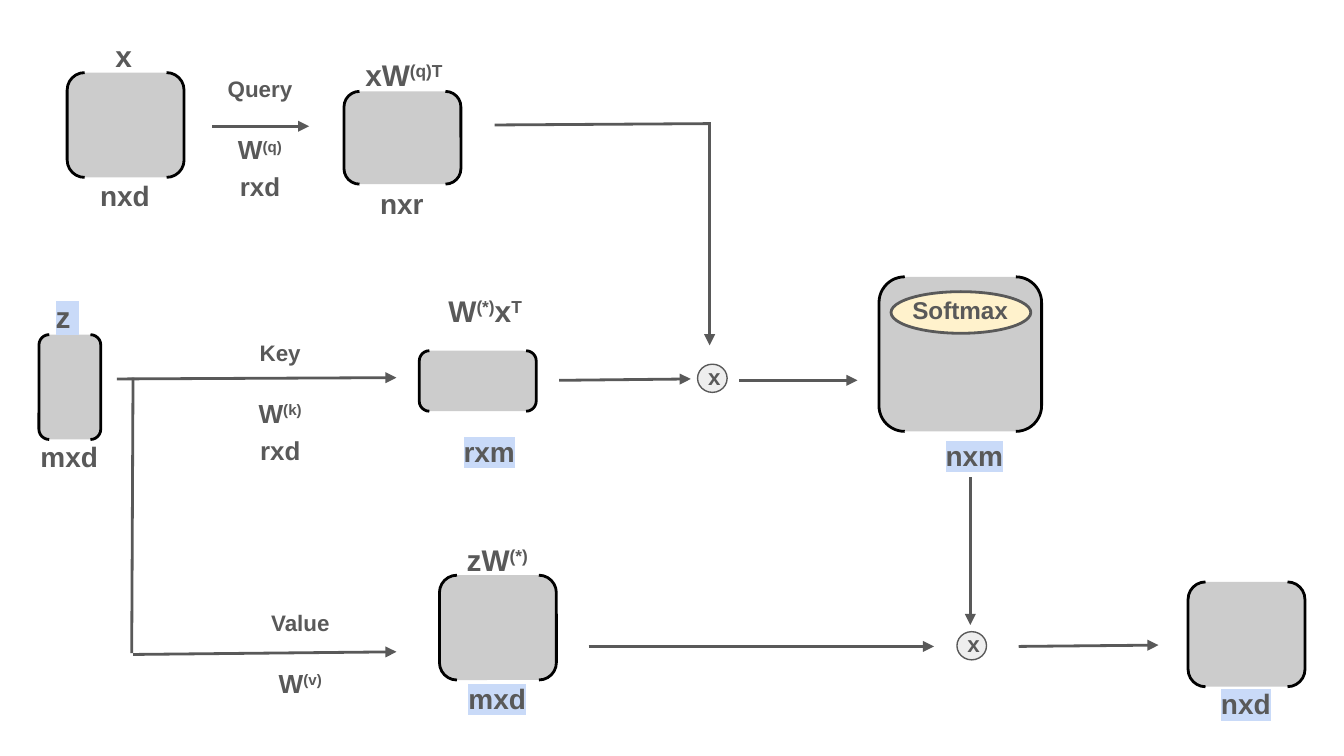
from lxml import etree
from pptx import Presentation
from pptx.dml.color import RGBColor
from pptx.enum.shapes import MSO_CONNECTOR, MSO_SHAPE
from pptx.enum.text import PP_ALIGN
from pptx.oxml.ns import qn
from pptx.util import Inches, Pt

STRAIGHT = MSO_CONNECTOR.STRAIGHT
BRACKETS, OVAL = MSO_SHAPE.DOUBLE_BRACKET, MSO_SHAPE.OVAL
CENTER, LEFT = PP_ALIGN.CENTER, PP_ALIGN.LEFT

WIDTH = 10
HEIGHT = WIDTH * 9 / 16
COLUMNS = 100
CELL = WIDTH / COLUMNS
INK, GREY, BLACK, MARK = "595959", "CCCCCC", "000000", "C9DAF8"
SIDE, TALL = 8.7, 7.8

MATRICES = [
    (5, 5.4, SIDE, TALL),
    (25.6, 6.8, SIDE, 6.9),
    (2.9, 24.9, 4.6, TALL),
    (31.2, 26.1, SIDE, 4.5),
    (32.7, 42.8, SIDE, TALL),
    (88.4, 43.3, SIDE, TALL),
    (65.4, 20.6, 12.1, 11.5),
]
NAMES = [
    ("x", 6.4, 1.8, 5.6, None),
    ("z ", 2.2, 21.2, 5.6, MARK),
    ("xW^(q)T", 25.5, 3.2, 9.1, None),
    ("W^(*)^x^T", 30.8, 20.8, 10.6, None),
    ("zW^(*)", 32.1, 39.3, 9.8, None),
]
SIZES = [
    ("nxd", 3.1, 12.3, 12.4, None),
    ("nxr", 23.7, 12.9, 12.4, None),
    ("mxd", 1.9, 31.7, 6.5, None),
    ("rxm", 30.2, 31.3, 12.4, MARK),
    ("nxm", 66.3, 31.6, 12.4, MARK),
    ("mxd", 30.8, 49.7, 12.4, MARK),
    ("nxd", 86.5, 50.1, 12.4, MARK),
]
WEIGHTS = [
    (["Query", "W^(q)", "^rxd"], 15, 4.6, 8.7),
    (["Key", "W^(k)", "^rxd"], 17.6, 24.2, 6.5),
    (["Value", "W^(v)"], 18, 44.3, 8.7),
]
LINES = [
    (9.9, 28.1, 9.8, 48.6),
    (36.8, 9.3, 52.9, 9.2),
]
ARROWS = [
    (15.8, 9.4, 23, 9.4),
    (8.7, 28.2, 29.5, 28.1),
    (9.9, 48.7, 29.5, 48.5),
    (41.6, 28.3, 51.4, 28.2),
    (52.8, 9.1, 52.8, 25.7),
    (55, 28.3, 63.8, 28.3),
    (43.8, 48.1, 69.5, 48.1),
    (72.2, 35.5, 72.2, 46.5),
    (75.8, 48.1, 86.2, 48),
]
PRODUCTS = [(51.9, 27.1), (71.2, 47)]


def cells(*counts):
    """Turn counts of grid cells into lengths."""
    return [Inches(count * CELL) for count in counts]


def color(value):
    """Turn a hex string into a colour."""
    return RGBColor.from_string(value)


def add_shape(s, kind, box, fill, line, weight=1.5):
    """Add a filled and outlined preset shape."""
    sp = s.shapes.add_shape(kind, *cells(*box))
    sp.shadow.inherit = False
    sp.fill.solid()
    sp.fill.fore_color.rgb = color(fill)
    sp.line.color.rgb = color(line)
    sp.line.width = Pt(weight)


def add_line(s, ends, arrow=False):
    """Add a straight line, with an arrowhead at its end if asked."""
    line = s.shapes.add_connector(STRAIGHT, *cells(*ends))
    line.line.color.rgb = color(INK)
    line.line.width = Pt(1.5)
    if arrow:
        etree.SubElement(line.line._get_or_add_ln(), qn("a:tailEnd"), type="triangle")
    etree.SubElement(line._element.spPr, qn("a:effectLst"))


def add_runs(p, text, size, mark=None):
    """Fill a paragraph, switching to or from superscript at each caret."""
    for index, part in enumerate(text.split("^")):
        if not part:
            continue
        r = p.add_run()
        r.text = part
        r.font.size = Pt(size)
        r.font.bold = True
        r.font.color.rgb = color(INK)
        rpr = r.font._element
        if index % 2:
            rpr.set("baseline", "30000")
        if mark:
            highlight = etree.SubElement(rpr, qn("a:highlight"))
            etree.SubElement(highlight, qn("a:srgbClr"), val=mark)
        r.font.name = "Arial"


def add_text(s, box, lines, sizes, mark=None, align=CENTER):
    """Add a text box with one paragraph per line and return its frame."""
    tf = s.shapes.add_textbox(*cells(*box)).text_frame
    tf.word_wrap = True
    tf.margin_left = tf.margin_right = tf.margin_top = tf.margin_bottom = Inches(0.1)
    for index, (line, size) in enumerate(zip(lines, sizes)):
        p = tf.add_paragraph() if index else tf.paragraphs[0]
        p.alignment = align
        add_runs(p, line, size, mark)
    return tf


def add_weight(s, lines, x, y, w):
    """Add a projection label whose matrix sits below its arrow."""
    tf = add_text(s, (x, y, w, 2), lines, (12, 14, 24))
    tf.paragraphs[1].space_before = Pt(17)


def add_product(s, x, y):
    """Add a circled multiplication sign."""
    add_shape(s, OVAL, (x, y, 2.2, 2.1), "EEEEEE", INK, 0.75)
    add_text(s, (x - 0.2, y - 1.1, 2.2, 4), ["x"], [12], align=LEFT)


def main():
    """Build the cross-attention diagram."""
    prs = Presentation()
    prs.slide_width, prs.slide_height = Inches(WIDTH), Inches(HEIGHT)
    s = prs.slides.add_slide(prs.slide_layouts[6])
    for box in MATRICES:
        add_shape(s, BRACKETS, box, GREY, BLACK)
    for text, x, y, w, mark in NAMES:
        add_text(s, (x, y, w, 5.4), [text], [16], mark)
    for text, x, y, w, mark in SIZES:
        add_text(s, (x, y, w, 4.5), [text], [15], mark)
    for weight in WEIGHTS:
        add_weight(s, *weight)
    for ends in LINES:
        add_line(s, ends)
    for ends in ARROWS:
        add_line(s, ends, arrow=True)
    for place in PRODUCTS:
        add_product(s, *place)
    add_shape(s, OVAL, (66.3, 21.7, 10.4, 3.1), "FFF2CC", INK)
    add_text(s, (66.9, 21, 14.8, 3.2), ["Softmax"], [13], align=LEFT)
    prs.save("out.pptx")


if __name__ == "__main__":
    main()
